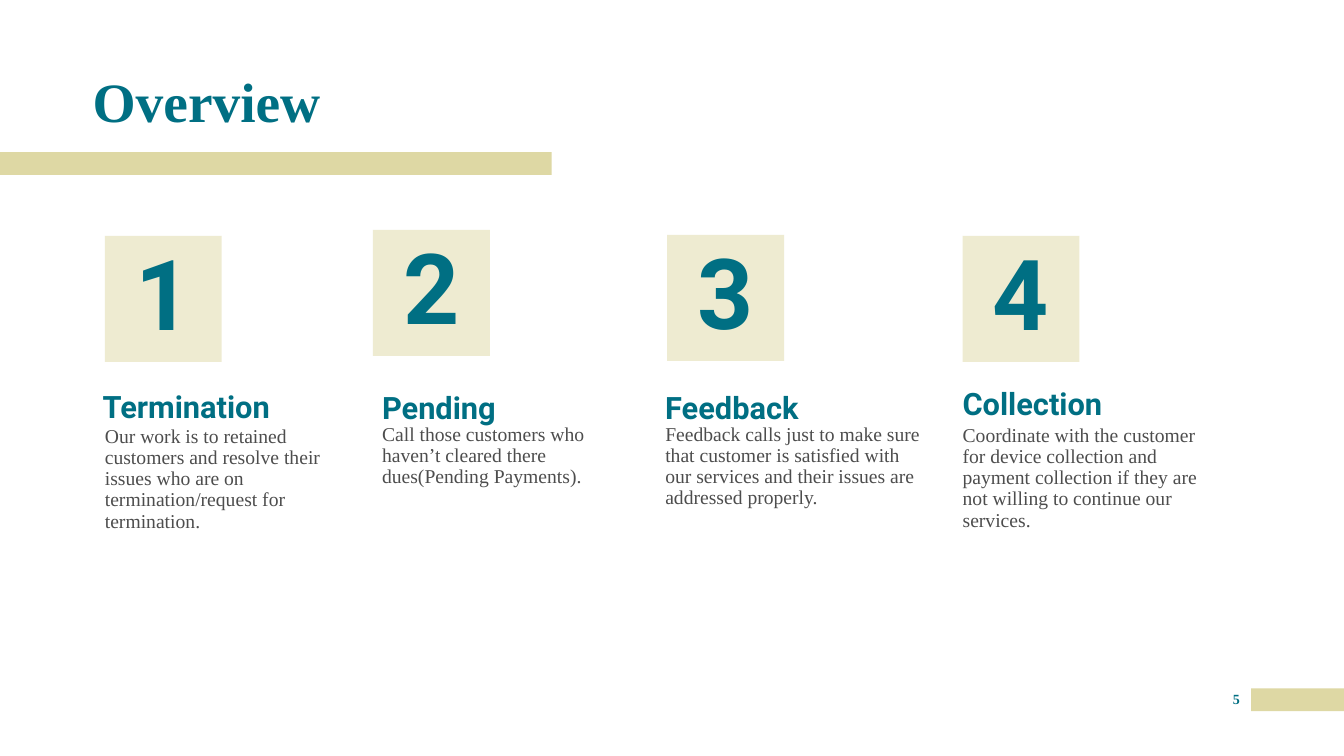
from lxml import etree
from pptx import Presentation
from pptx.dml import color
from pptx.enum import shapes, text
from pptx.oxml import ns
from pptx.util import Pt

TEAL = color.RGBColor(0x00, 0x6F, 0x83)
SAND = color.RGBColor(0xDE, 0xD8, 0xA4)
GREY = color.RGBColor(0x4D, 0x4D, 0x4D)
SERIF, SANS = "Times New Roman", "Roboto"

TITLE = "Overview"
PAGE = "5"
TOPICS = [
    dict(number="1", at=(74.9, 168.5),
         heading="Termination", heading_at=(73.4, 259.2), heading_width=141,
         detail="Our work is to retained customers and resolve their issues "
                "who are on termination/request for termination.",
         detail_at=(74.9, 304.6)),
    dict(number="2", at=(266.4, 164.2),
         heading="Pending", heading_at=(272.9, 259.9), heading_width=93.6,
         detail="Call those customers who haven’t cleared there "
                "dues(Pending Payments).",
         detail_at=(272.9, 303.1)),
    dict(number="3", at=(476.6, 167.8),
         heading="Feedback", heading_at=(475.2, 259.9), heading_width=127.4,
         detail="Feedback calls just to make sure that customer is satisfied "
                "with our services and their issues are addressed properly.",
         detail_at=(475.2, 303.1)),
    dict(number="4", at=(687.6, 168.5),
         heading="Collection", heading_at=(687.6, 257), heading_width=127.4,
         detail="Coordinate with the customer for device collection and "
                "payment collection if they are not willing to continue our services.",
         detail_at=(687.6, 303.8)),
]
BARS = [(0, 108.7, 394, 16.2), (893.7, 491.8, 66.3, 16.2)]
NUMBER_SIZE = (83.5, 90)
HEADING_HEIGHT = 44.6
DETAIL_SIZE = (185.8, 77.8)

TOP, MIDDLE, BOTTOM = (text.MSO_ANCHOR.TOP, text.MSO_ANCHOR.MIDDLE,
                       text.MSO_ANCHOR.BOTTOM)
LEFT, CENTER = text.PP_ALIGN.LEFT, text.PP_ALIGN.CENTER


def place(part, left, top, width, height):
    part.left, part.top, part.width, part.height = map(Pt, (left, top, width, height))


def write(part, words, size, font, tint, bold=True, anchor=TOP, align=LEFT, spacing=0.9):
    frame = part.text_frame
    frame.word_wrap = True
    frame.auto_size = text.MSO_AUTO_SIZE.NONE
    frame.vertical_anchor = anchor
    frame.margin_left = frame.margin_right = frame.margin_top = frame.margin_bottom = 0
    line = frame.paragraphs[0]
    line.alignment = align
    line.line_spacing = spacing
    line.space_before = Pt(0)
    run = line.add_run()
    run.text = words
    run.font.size = Pt(size)
    run.font.name = font
    run.font.bold = bold
    run.font.color.rgb = tint


def add_block(slide, left, top, width, height, opacity=100):
    block = slide.shapes.add_shape(shapes.MSO_SHAPE.RECTANGLE,
                                   *map(Pt, (left, top, width, height)))
    block.shadow.inherit = False
    block.fill.solid()
    block.fill.fore_color.rgb = SAND
    block.line.fill.background()
    if opacity < 100:
        tint = block.fill._xPr.find(".//" + ns.qn("a:srgbClr"))
        etree.SubElement(tint, ns.qn("a:alpha"), val=str(opacity * 1000))
    return block


def add_label(slide, left, top, width, height):
    return slide.shapes.add_textbox(*map(Pt, (left, top, width, height)))


def remove_bullet(part):
    props = part.text_frame.paragraphs[0]._p.get_or_add_pPr()
    props.set("marL", "0")
    props.set("indent", "0")
    etree.SubElement(props, ns.qn("a:buNone"))


def main():
    deck = Presentation()
    deck.slide_width, deck.slide_height = Pt(960), Pt(540)
    slide = deck.slides.add_slide(deck.slide_layouts.get_by_name("Comparison"))

    for bar in BARS:
        add_block(slide, *bar)

    title = slide.shapes.title
    place(title, 66.2, 49, 614.2, 46.8)
    write(title, TITLE, 39.6, SERIF, TEAL, anchor=BOTTOM)

    details = [part for part in slide.placeholders if part != title]
    for topic, detail in zip(TOPICS, details):
        number = add_block(slide, *topic["at"], *NUMBER_SIZE, opacity=50)
        write(number, topic["number"], 70, SANS, TEAL, anchor=MIDDLE, align=CENTER)

        heading = add_label(slide, *topic["heading_at"],
                            topic["heading_width"], HEADING_HEIGHT)
        write(heading, topic["heading"], 22, SANS, TEAL, anchor=BOTTOM)

        place(detail, *topic["detail_at"], *DETAIL_SIZE)
        remove_bullet(detail)
        write(detail, topic["detail"], 14, SERIF, GREY, bold=False)

    page = add_label(slide, 872.6, 493.2, 20.9, 18)
    write(page, PAGE, 10, SERIF, TEAL, align=CENTER, spacing=1.0)

    deck.save("out.pptx")


if __name__ == "__main__":
    main()
